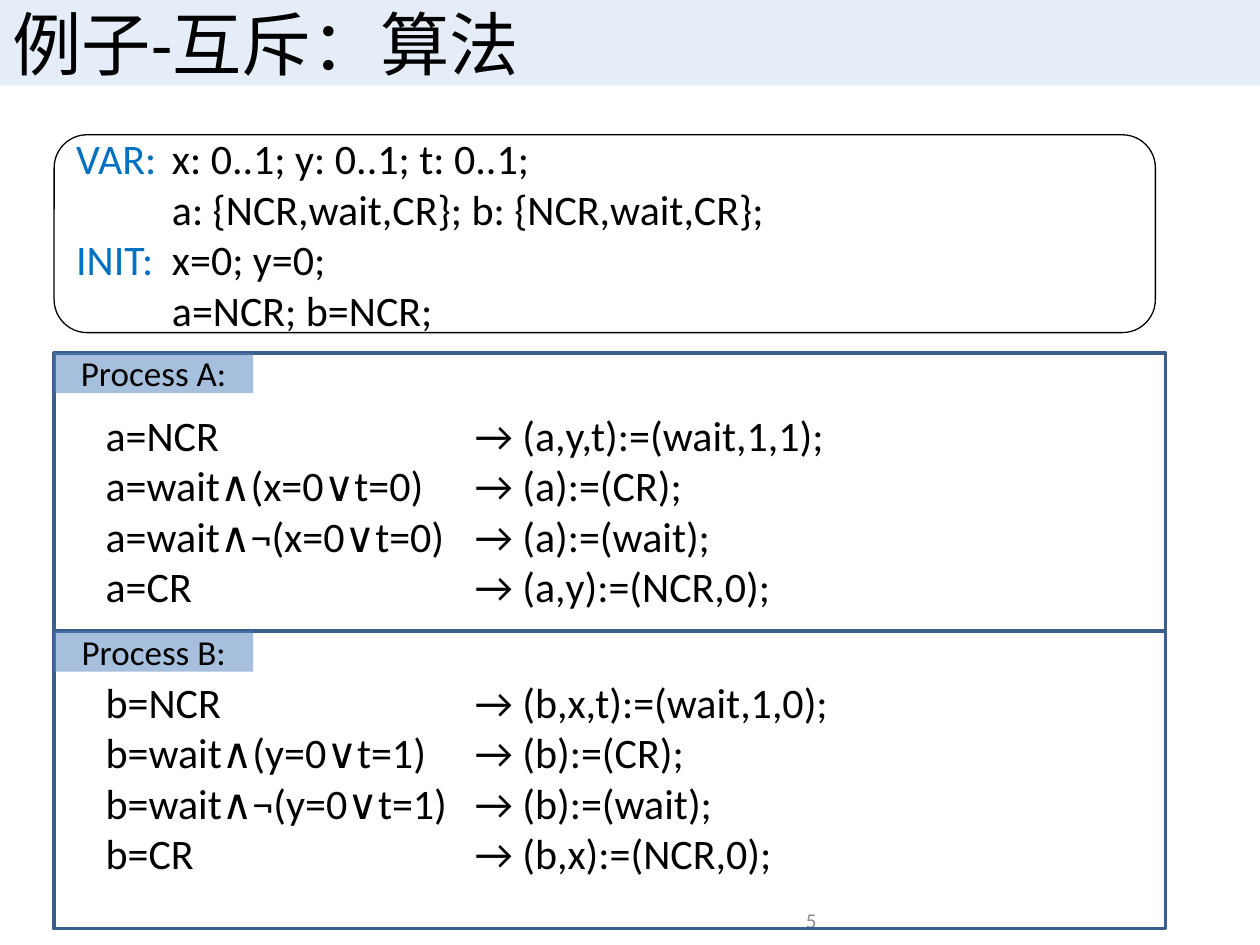
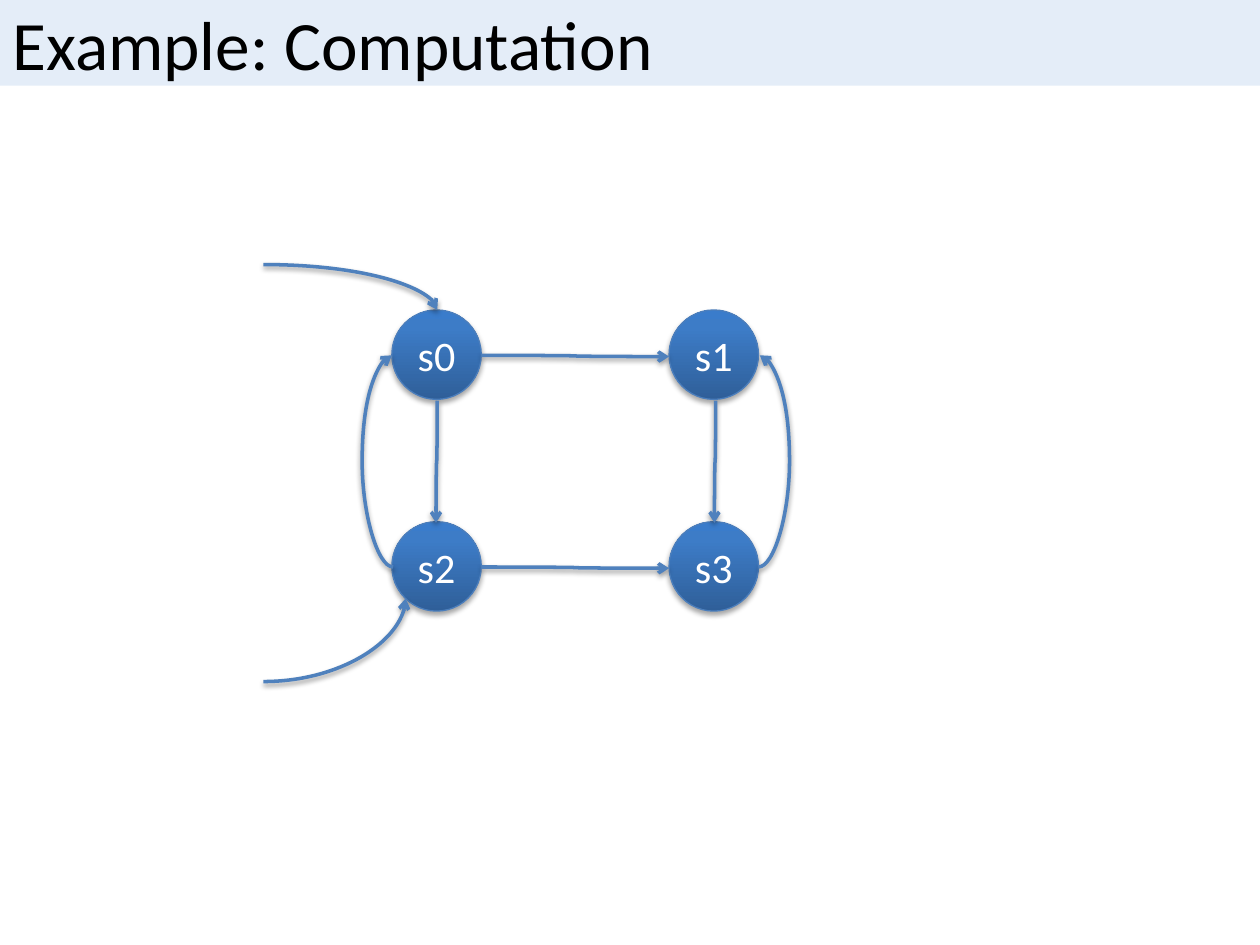
"""Build two slides on mutual exclusion: the algorithm and its state graph."""
from copy import deepcopy
from dataclasses import dataclass

from lxml.etree import SubElement
from pptx import Presentation
from pptx.dml.color import RGBColor as Rgb
from pptx.enum.shapes import MSO_CONNECTOR as Link, MSO_SHAPE as Form
from pptx.enum.text import MSO_ANCHOR as Anchor, MSO_AUTO_SIZE as Fit, PP_ALIGN as Align
from pptx.oxml.ns import qn
from pptx.util import Pt

PX = 9144
FONT = "Calibri"
INK = {
    "text": "000000", "white": "FFFFFF", "key": "0070C0", "page": "8C8C8C",
    "band": "C6D9F1", "label": "4F81BD", "frame": "3A5F8C",
    "edge": "4F81BD", "rim": "4B7EBC",
}
BALL = [(0, "2F5F99"), (0.8, "3D7CC7"), (1, "3A7CCB")]


@dataclass
class Box:
    """Place and size in px."""
    left: int
    top: int
    width: int
    height: int

    def emu(self) -> list[int]:
        """Return the four lengths in EMU."""
        return [n * PX for n in (self.left, self.top, self.width, self.height)]


@dataclass
class Process:
    """One process: its label, frame, rule box and guarded rules."""
    label: str
    frame: Box
    body: Box
    rules: list[str]


@dataclass
class Node:
    """One state of the graph."""
    name: str
    col: int
    row: int


@dataclass
class Edge:
    """One curved arrow, given by its box before turning."""
    box: Box
    turn: int = 0
    flip: bool = False
    bend: float | None = 0.5


def write(shape, lines, size=24, color="text", align=Align.LEFT,
          anchor=Anchor.MIDDLE, tab=0) -> None:
    """Write lines, each a string or a list of (text, colour) runs."""
    frame = shape.text_frame
    frame.auto_size = Fit.NONE
    frame.word_wrap = True
    frame.vertical_anchor = anchor
    for i, line in enumerate(lines):
        para = frame.add_paragraph() if i else frame.paragraphs[0]
        para.alignment = align
        if tab:
            stops = SubElement(para._p.get_or_add_pPr(), qn("a:tabLst"))
            SubElement(stops, qn("a:tab"), pos=str(tab * PX), algn="l")
        for text, ink in [(line, color)] if isinstance(line, str) else line:
            run = para.add_run()
            run.text = text
            run.font.name = FONT
            run.font.size = Pt(size)
            run.font.color.rgb = Rgb.from_string(INK[ink])


def paint(shape, color: str, alpha: int = 100) -> None:
    """Fill a shape with one colour, clear to a degree."""
    shape.fill.solid()
    shape.fill.fore_color.rgb = Rgb.from_string(INK[color])
    if alpha < 100:
        tone = shape.element.spPr.find(f".//{qn('a:srgbClr')}")
        SubElement(tone, qn("a:alpha"), val=str(alpha * 1000))


def stroke(shape, color: str, width: float) -> None:
    """Set the line of a shape or arrow."""
    shape.line.color.rgb = Rgb.from_string(INK[color])
    shape.line.width = Pt(width)


def draw(slide, form, box: Box, fill="", alpha=100, line="", width=2.0):
    """Draw a flat shape."""
    shape = slide.shapes.add_shape(form, *box.emu())
    shape.shadow.inherit = False
    if fill:
        paint(shape, fill, alpha)
    else:
        shape.fill.background()
    if line:
        stroke(shape, line, width)
    else:
        shape.line.fill.background()
    return shape


def shade(shape, drop: float, alpha: int) -> None:
    """Cast a soft shadow straight down."""
    props = shape.element.spPr
    fx = props.find(qn("a:effectLst"))
    if fx is None:
        fx = SubElement(props, qn("a:effectLst"))
    cast = SubElement(fx, qn("a:outerShdw"), blurRad=str(Pt(3.1)),
                      dist=str(Pt(drop)), dir="5400000", rotWithShape="0")
    tone = SubElement(cast, qn("a:srgbClr"), val=INK["text"])
    SubElement(tone, qn("a:alpha"), val=str(alpha * 1000))


def start(deck, title: str):
    """Add a slide with its title band."""
    slide = deck.slides.add_slide(deck.slide_layouts[5])
    band = slide.shapes.title
    band.left, band.top, band.width, band.height = Box(0, 0, 1000, 68).emu()
    paint(band, "band", 47)
    write(band, [title], size=39.6)
    return slide


def rule_box(slide, proc: Process) -> None:
    """Draw the frame, label and rules of a process."""
    spot = proc.frame
    draw(slide, Form.RECTANGLE, spot, line="frame")
    label = draw(slide, Form.RECTANGLE, Box(spot.left, spot.top, 158, 32), "label", 50)
    write(label, [proc.label], size=20, align=Align.CENTER)
    body = slide.shapes.add_textbox(*proc.body.emu())
    write(body, proc.rules, anchor=Anchor.TOP, tab=293)


def ball(slide, node: Node) -> None:
    """Draw a state as a shaded ball."""
    spot = Box(311 + 220 * node.col, 246 + 168 * node.row, 71, 71)
    shape = draw(slide, Form.OVAL, spot, line="rim", width=0.75)
    shape.fill.gradient()
    shape.fill.gradient_angle = 90
    first = shape.element.spPr.find(f".//{qn('a:gs')}")
    first.addnext(deepcopy(first))
    for stop, (place, tone) in zip(shape.fill.gradient_stops, BALL):
        stop.position = place
        stop.color.rgb = Rgb.from_string(tone)
    shade(shape, 1.8, 35)
    write(shape, [node.name], color="white", align=Align.CENTER)


def arrow(slide, edge: Edge) -> None:
    """Draw a curved arrow; no bend means a quarter curve."""
    left, top, width, height = edge.box.emu()
    ends = (top + height, top) if edge.flip else (top, top + height)
    link = slide.shapes.add_connector(Link.CURVE, left, ends[0], left + width, ends[1])
    stroke(link, "edge", 2)
    SubElement(link.line._get_or_add_ln(), qn("a:tailEnd"), type="arrow")
    props = link.element.spPr
    if edge.turn:
        props.find(qn("a:xfrm")).set("rot", str(edge.turn * 60000))
    geom = props.find(qn("a:prstGeom"))
    if edge.bend is None:
        geom.set("prst", "curvedConnector2")
    else:
        guides = geom.find(qn("a:avLst"))
        if guides is None:
            guides = SubElement(geom, qn("a:avLst"))
        SubElement(guides, qn("a:gd"), name="adj1", fmla=f"val {round(edge.bend * 100000)}")
    shade(link, 1.6, 38)


PROCS = [
    Process("Process A:", Box(43, 280, 882, 457), Box(74, 320, 607, 293), [
        "a=NCR\t→ (a,y,t):=(wait,1,1);",
        "a=wait∧(x=0∨t=0)\t→ (a):=(CR);",
        "a=wait∧¬(x=0∨t=0)\t→ (a):=(wait);",
        "a=CR\t→ (a,y):=(NCR,0);"]),
    Process("Process B:", Box(43, 501, 882, 236), Box(74, 532, 607, 202), [
        "b=NCR\t→ (b,x,t):=(wait,1,0);",
        "b=wait∧(y=0∨t=1)\t→ (b):=(CR);",
        "b=wait∧¬(y=0∨t=1)\t→ (b):=(wait);",
        "b=CR\t→ (b,x):=(NCR,0);"]),
]
STATES = [
    [("VAR:", "key"), ("\tx: 0..1; y: 0..1; t: 0..1;", "text")],
    "\ta: {NCR,wait,CR}; b: {NCR,wait,CR};",
    [("INIT:", "key"), ("\tx=0; y=0;", "text")],
    "\ta=NCR; b=NCR;",
]
NODES = [Node("s2", 0, 1), Node("s0", 0, 0), Node("s3", 1, 1), Node("s1", 1, 0)]
EDGES = [
    Edge(Box(298, 366, 97, 1), turn=90),
    Edge(Box(519, 366, 97, 1), turn=90),
    Edge(Box(382, 282, 149, 1)),
    Edge(Box(382, 450, 149, 1)),
    Edge(Box(602, 282, 1, 168), flip=True, bend=25),
    Edge(Box(311, 282, 1, 168), turn=180, bend=25),
    Edge(Box(209, 210, 138, 36), bend=None),
    Edge(Box(209, 475, 113, 66), flip=True, bend=None),
]


def main() -> None:
    """Build and save the deck."""
    deck = Presentation()
    deck.slide_width, deck.slide_height = 1000 * PX, 750 * PX

    slide = start(deck, "例子-互斥：算法")
    page = slide.shapes.add_textbox(*Box(342, 715, 316, 30).emu())
    write(page, ["5"], size=12, color="page", align=Align.RIGHT)
    vars_box = draw(slide, Form.ROUNDED_RECTANGLE, Box(43, 107, 874, 157),
                    "white", line="text", width=0.75)
    vars_box.adjustments[0] = 0.167
    write(vars_box, STATES, tab=76)
    for proc in PROCS:
        rule_box(slide, proc)

    slide = start(deck, "Example: Computation")
    for node in NODES:
        ball(slide, node)
    for edge in EDGES:
        arrow(slide, edge)

    deck.save("out.pptx")


if __name__ == "__main__":
    main()
